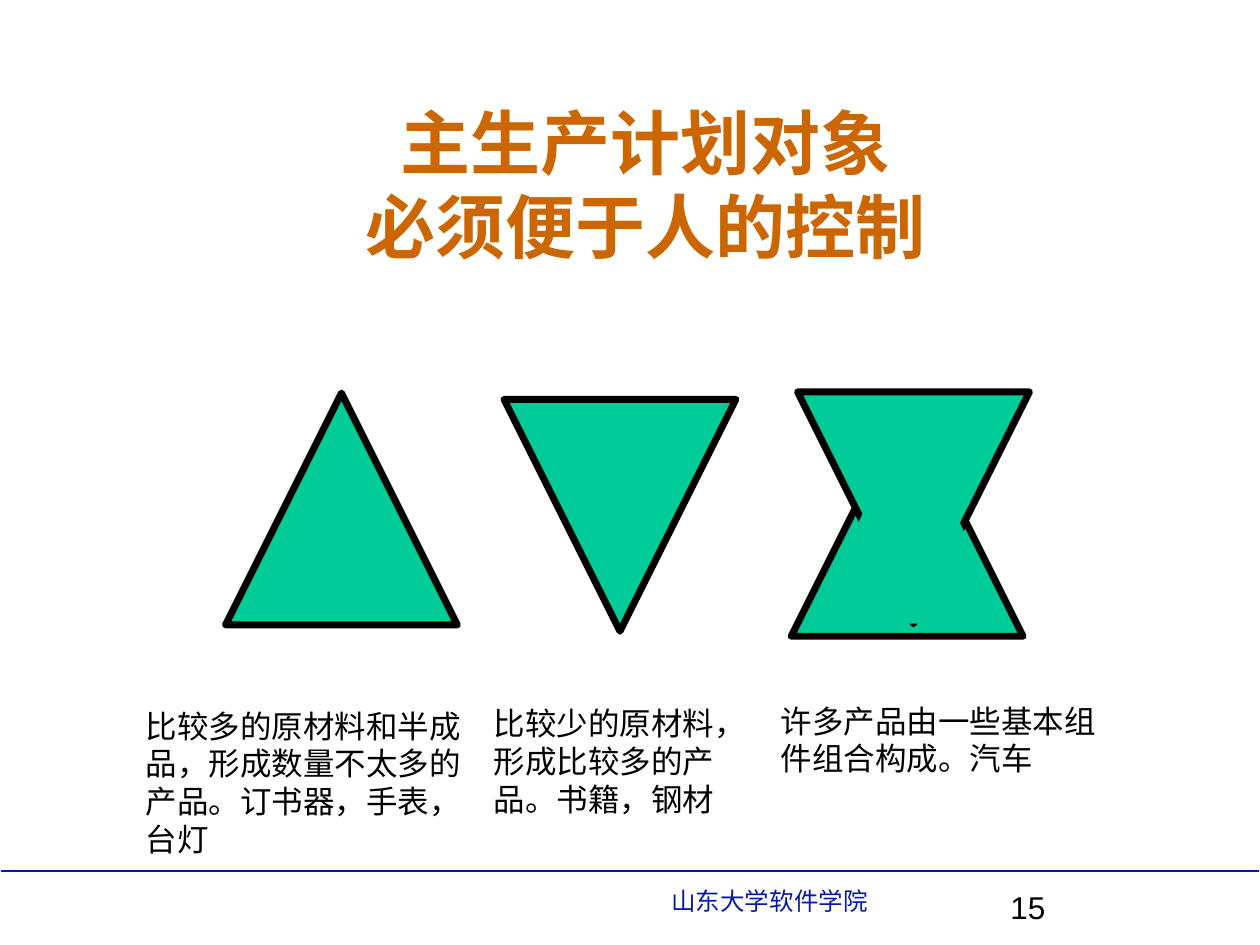
from dataclasses import dataclass

from pptx import Presentation
from pptx.dml.color import RGBColor as Color
from pptx.enum.shapes import MSO_CONNECTOR as Connector, MSO_SHAPE as Shape
from pptx.enum.text import MSO_ANCHOR as Anchor, MSO_AUTO_SIZE as AutoSize, PP_ALIGN as Align
from pptx.oxml.ns import qn
from pptx.util import Inches, Pt


@dataclass(frozen=True)
class Theme:
    title: Color = Color(0xCC, 0x66, 0x00)
    text: Color = Color(0, 0, 0)
    accent: Color = Color(0x06, 0x1A, 0xAA)
    fill: Color = Color(0x00, 0xCC, 0x99)
    title_size: int = 40
    body_size: int = 18
    footer_size: int = 14
    title_font: str = "Times New Roman"
    body_font: str = "Arial"


THEME = Theme()
SIDE = 1.84  # width and height of the outlined triangles


def write(box, text, *, size=THEME.body_size, color=THEME.text,
          font=THEME.body_font, bold=False, align=Align.LEFT, anchor=Anchor.TOP):
    frame = box.text_frame
    frame.word_wrap = True
    frame.auto_size = AutoSize.NONE
    frame.vertical_anchor = anchor
    para = frame.paragraphs[0]
    para.text = text
    para.alignment = align
    for span in para.runs:
        span.font.name = font
        span.font.size = Pt(size)
        span.font.bold = bold
        span.font.color.rgb = color


def add_text(page, left, top, width, height, text, **style):
    box = page.shapes.add_textbox(Inches(left), Inches(top), Inches(width), Inches(height))
    write(box, text, **style)


def add_title(page, text):
    title = page.shapes.title
    title.left, title.top = Inches(1.21), Inches(0.83)
    title.width, title.height = Inches(7.83), Inches(1.25)
    write(title, text, size=THEME.title_size, color=THEME.title, font=THEME.title_font,
          bold=True, align=Align.CENTER, anchor=Anchor.MIDDLE)


def add_triangle(parent, left, top, width=SIDE, height=SIDE, inverted=False, outlined=True):
    triangle = parent.shapes.add_shape(
        Shape.ISOSCELES_TRIANGLE, Inches(left), Inches(top), Inches(width), Inches(height))
    triangle.shadow.inherit = False
    triangle.rotation = 180 if inverted else 0
    triangle.fill.solid()
    triangle.fill.fore_color.rgb = THEME.fill
    if outlined:
        triangle.line.color.rgb = THEME.text
        triangle.line.width = Pt(4)
    else:
        triangle.line.fill.background()
    return triangle


def add_hourglass(page):
    group = page.shapes.add_group_shape()
    add_triangle(group, 6.28, 3.21)
    add_triangle(group, 6.33, 3.11, inverted=True)
    # Borderless triangle hides the crossing outlines
    cover = add_triangle(page, 6.43, 3.28, 1.55, 1.67, outlined=False)
    cover.adjustments[0] = 0.514


def add_rule(page, left, right, top):
    rule = page.shapes.add_connector(
        Connector.STRAIGHT, Inches(left), Inches(top), Inches(right), Inches(top))
    rule.line.color.rgb = THEME.accent
    rule.line.width = Pt(1)
    properties = rule.element.spPr
    properties.append(properties.makeelement(qn("a:effectLst"), {}))


def main():
    deck = Presentation()
    deck.slide_width, deck.slide_height = Inches(10), Inches(7.5)
    page = deck.slides.add_slide(deck.slide_layouts[5])

    # Footer
    add_rule(page, 0.01, 9.99, 6.91)
    add_text(page, 5.23, 6.98, 4.33, 0.34, "山东大学软件学院",
             size=THEME.footer_size, color=THEME.accent)
    add_text(page, 7.92, 7, 2.08, 0.5, "15")

    add_title(page, "主生产计划对象\v必须便于人的控制")

    # Product structure types
    add_triangle(page, 1.79, 3.12)
    add_triangle(page, 4, 3.17, inverted=True)
    add_hourglass(page)

    # Captions
    captions = [
        (1.06, 5.56, 2.94, 1.3, "比较多的原材料和半成品，形成数量不太多的产品。订书器，手表，台灯"),
        (3.82, 5.54, 2.18, 1.3, "比较少的原材料，形成比较多的产品。书籍，钢材"),
        (6.1, 5.52, 2.94, 0.7, "许多产品由一些基本组件组合构成。汽车"),
    ]
    for caption in captions:
        add_text(page, *caption)

    deck.save("out.pptx")


if __name__ == "__main__":
    main()
